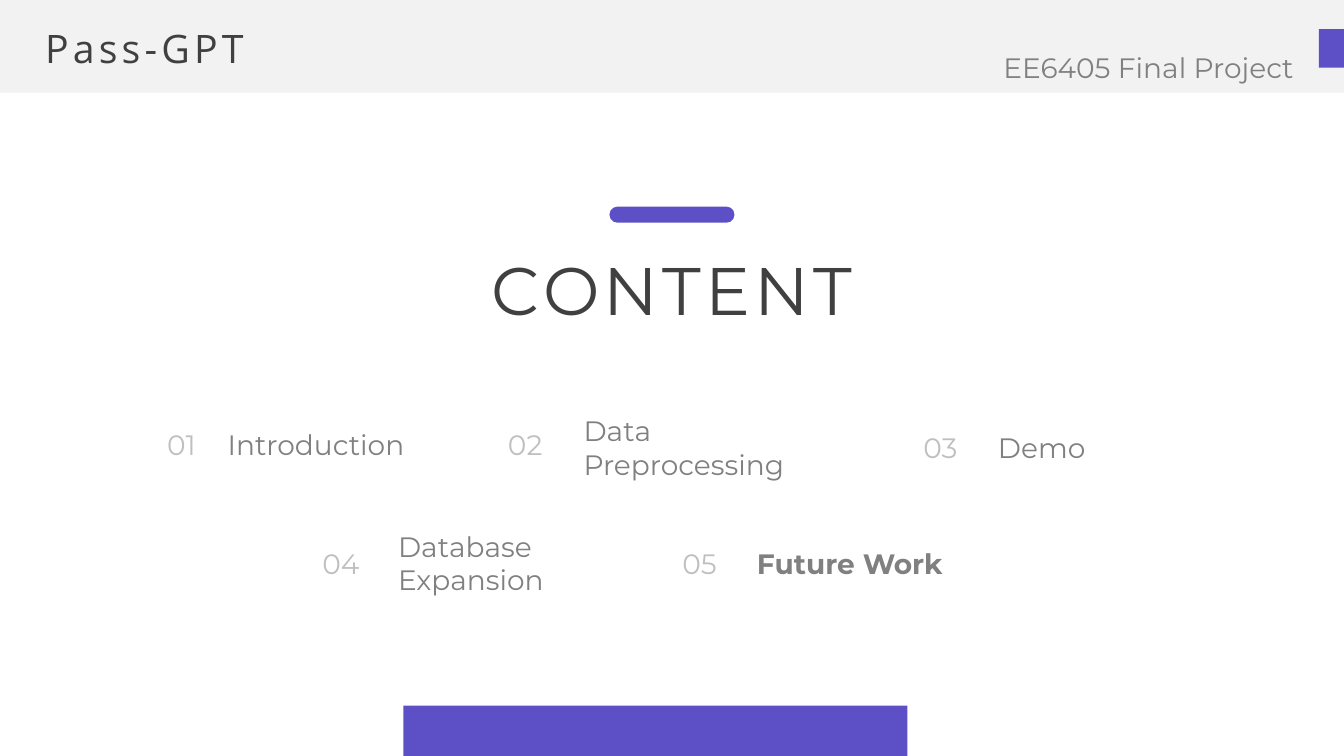
import pptx
import pptx.util
import pptx.dml.color
import pptx.enum.shapes
import pptx.enum.text

Inches = pptx.util.Inches
SHAPE = pptx.enum.shapes.MSO_SHAPE
ALIGN = pptx.enum.text.PP_ALIGN
ANCHOR = pptx.enum.text.MSO_ANCHOR

PURPLE, PALE, DARK, MID, LIGHT = "5D50C6", "F2F2F2", "404040", "808080", "BFBFBF"
NUMBER_WIDTH, LABEL_WIDTH = 0.74, 2.63
ENTRIES = [
    ("01", ["Introduction"], 1.56, 4.27, 0.6, 0.27, False),
    ("02", ["Data Preprocessing"], 4.94, 4.27, 0.75, 0.5, False),
    ("03", ["Demo"], 9.06, 4.3, 0.74, 0.27, False),
    ("04", ["Database", "Expansion"], 3.1, 5.45, 0.75, 0.27, False),
    ("05", ["Future Work"], 6.67, 5.45, 0.74, 0.27, True),
]


def color(value):
    return pptx.dml.color.RGBColor.from_string(value)


def paint(shape, value):
    shape.shadow.inherit = False
    shape.fill.solid()
    shape.fill.fore_color.rgb = color(value)
    shape.line.fill.background()


def add_block(shapes, kind, box, value):
    shape = shapes.add_shape(kind, *map(Inches, box))
    paint(shape, value)
    return shape


def add_text(shapes, box, lines, value, size=20, font="Montserrat", bold=False,
             spacing=None, anchor=ANCHOR.TOP, **paragraph_format):
    frame = shapes.add_textbox(*map(Inches, box)).text_frame
    frame.word_wrap = True
    frame.vertical_anchor = anchor
    font_format = {"name": font, "size": pptx.util.Pt(size), "bold": bold}
    for index, line in enumerate(lines):
        paragraph = frame.add_paragraph() if index else frame.paragraphs[0]
        for name, setting in paragraph_format.items():
            setattr(paragraph, name, setting)
        run = paragraph.add_run()
        run.text = line
        for name, setting in font_format.items():
            setattr(run.font, name, setting)
        run.font.color.rgb = color(value)
        if spacing:
            run._r.get_or_add_rPr().set("spc", str(spacing * 100))


def add_header(slide, left, top, width, height):
    shapes = slide.shapes
    right = left + width
    add_block(shapes, SHAPE.RECTANGLE, (left, top, width, height), PALE)
    add_text(shapes, (left + 0.35, top + 0.19, 5.31, 0.57), ["Pass-GPT"], DARK,
             size=28, font="Open Sans", spacing=3)
    add_block(shapes, SHAPE.RECTANGLE, (right - 0.25, top + 0.29, 0.25, 0.38), PURPLE)
    add_text(shapes, (right - 4.98, top - 0.33, 4.58, 2.13), ["EE6405 Final Project"], MID,
             alignment=ALIGN.RIGHT, line_spacing=pptx.util.Pt(80))


def bezier(points, steps=24):
    for step in range(steps + 1):
        t = step / steps
        weights = ((1 - t) ** 3, 3 * t * (1 - t) ** 2, 3 * t * t * (1 - t), t ** 3)
        yield tuple(sum(w * point[axis] for w, point in zip(weights, points))
                    for axis in (0, 1))


def add_footer_tab(slide, left, top, width, height):
    slope = list(bezier([(1.25, 0), (0.53, 0), (0.45, 0.24), (0.13, 0.43)]))
    slope.append((0, height))
    right_edge = [(left + width - inset, top + drop) for inset, drop in slope]
    left_edge = [(left + inset, top + drop) for inset, drop in reversed(slope)]
    outline = right_edge + left_edge
    builder = slide.shapes.build_freeform(*outline[0], scale=Inches(1))
    builder.add_line_segments(outline[1:], close=True)
    paint(builder.convert_to_shape(), PURPLE)


def add_title(slide, left, top, width, height):
    bar_width = 1.24
    bar_left = left + (width - bar_width) / 2
    bar = add_block(slide.shapes, SHAPE.ROUNDED_RECTANGLE,
                    (bar_left, top, bar_width, 0.16), PURPLE)
    bar.adjustments[0] = 0.5
    add_text(slide.shapes, (left, top + 0.36, width, height - 0.36), ["CONTENT"], DARK,
             size=48, spacing=3, alignment=ALIGN.CENTER)


def add_entry(slide, number, lines, left, top, label_offset, label_height, bold):
    height = 0.27
    shapes = slide.shapes.add_group_shape().shapes
    add_text(shapes, (left, top, NUMBER_WIDTH, height), [number], LIGHT,
             anchor=ANCHOR.MIDDLE)
    label_top = top + (height - label_height) / 2 + (0.03 if label_height > height else 0)
    add_text(shapes, (left + label_offset, label_top, LABEL_WIDTH, label_height), lines, MID,
             bold=bold, anchor=ANCHOR.MIDDLE)


def main():
    presentation = pptx.Presentation()
    presentation.slide_width = Inches(13.33)
    presentation.slide_height = Inches(7.5)
    slide = presentation.slides.add_slide(presentation.slide_layouts[6])
    add_header(slide, 0, 0, 13.33, 0.92)
    add_footer_tab(slide, 4, 7.01, 5.33, 0.49)
    add_title(slide, 4.6, 2.05, 4.13, 1.27)
    for entry in ENTRIES:
        add_entry(slide, *entry)
    presentation.save("out.pptx")


if __name__ == "__main__":
    main()
